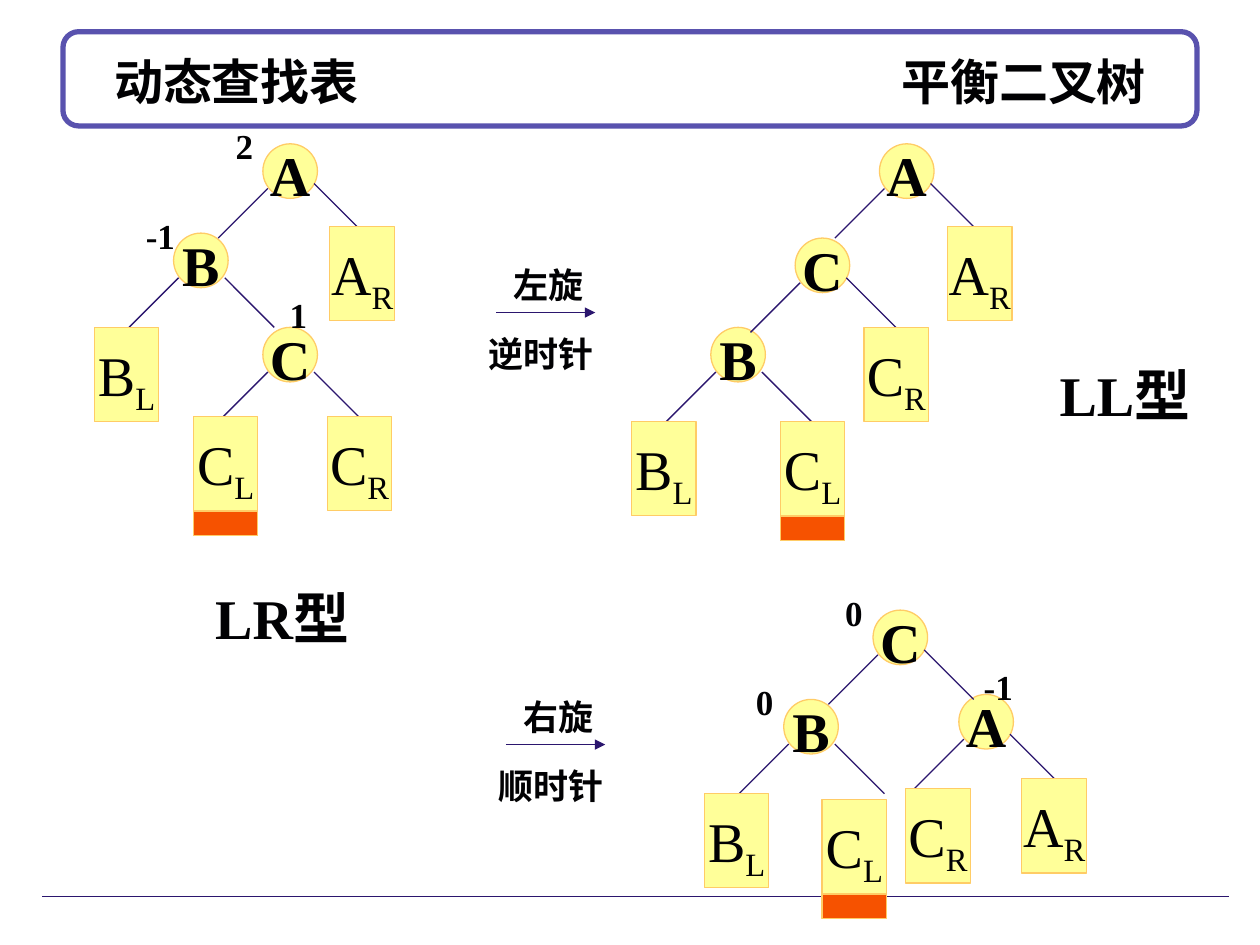
from lxml import etree
from pptx import Presentation
from pptx import util as u
from pptx.dml.color import RGBColor
from pptx.enum import shapes, text
from pptx.oxml import ns

COLORS = {
    "ink": "010103", "frame": "5952AE", "edge": "2B166E", "node": "FFFF99",
    "outline": "FFCC66", "added": "F65200", "paper": "FFFFFF",
}
SHAPE = shapes.MSO_SHAPE
ALIGN = text.PP_ALIGN
ANCHOR = text.MSO_ANCHOR
NODE = 1.1
BOX_W, BOX_H, STRIP_H = 1.3, 1.9, 0.5

prs = Presentation()
prs.slide_width, prs.slide_height = u.Cm(25.4), u.Cm(19.05)
s = prs.slides.add_slide(prs.slide_layouts[5])


def put(label, x, y, w, h, geom=None, fill="node", line="outline", weight=0.75,
        size=32, font="Times New Roman", bold=True, sub=""):
    at = [u.Cm(v) for v in (x, y, w, h)]
    if geom is None:
        sp = s.shapes.add_textbox(*at)
    else:
        sp = s.shapes.add_shape(geom, *at)
        sp.shadow.inherit = False
        sp.fill.solid()
        sp.fill.fore_color.rgb = RGBColor.from_string(COLORS[fill])
        sp.line.color.rgb = RGBColor.from_string(COLORS[line])
        sp.line.width = u.Pt(weight)
    if label:
        tf = sp.text_frame
        tf.word_wrap = geom is None
        tf.vertical_anchor = ANCHOR.MIDDLE if geom else ANCHOR.TOP
        p = tf.paragraphs[0]
        p.alignment = ALIGN.CENTER if geom else ALIGN.LEFT
        p.line_spacing = 1.1
        for part in filter(None, (label, sub)):
            r = p.add_run()
            r.text = part
            r.font.size, r.font.name, r.font.bold = u.Pt(size), font, bold
            r.font.color.rgb = RGBColor.from_string(COLORS["ink"])
        if sub:
            r.font._element.set("baseline", "-25000")
    return sp


def connect(x1, y1, x2, y2, arrow=False):
    c = s.shapes.add_connector(shapes.MSO_CONNECTOR.STRAIGHT, *[u.Cm(v) for v in (x1, y1, x2, y2)])
    c.line.color.rgb = RGBColor.from_string(COLORS["edge"])
    c.line.width = u.Pt(0.75)
    if arrow:
        etree.SubElement(c.line._get_or_add_ln(), ns.qn("a:tailEnd"), type="triangle")
    etree.SubElement(c._element.spPr, ns.qn("a:effectLst"))


put("", 1.27, 0.64, 22.86, 1.9, geom=SHAPE.ROUNDED_RECTANGLE, fill="paper", line="frame", weight=3)
connect(0.85, 18.08, 24.77, 18.08)

title = s.shapes.title
s.shapes._spTree.append(title._element)
title.left, title.top, title.width, title.height = u.Cm(1.27), u.Cm(0.84), u.Cm(22.86), u.Cm(1.57)
tf = title.text_frame
tf.auto_size = text.MSO_AUTO_SIZE.NONE
tf.vertical_anchor = ANCHOR.MIDDLE
tf.margin_left, tf.margin_right, tf.margin_top, tf.margin_bottom = u.Cm(1.03), 0, 0, 0
p = tf.paragraphs[0]
p.alignment = ALIGN.LEFT
tabs = etree.SubElement(p._p.get_or_add_pPr(), ns.qn("a:tabLst"))
etree.SubElement(tabs, ns.qn("a:tab"), pos=str(u.Cm(20.8)), algn="r")
r = p.add_run()
r.text = "动态查找表\t平衡二叉树"
r.font.size, r.font.name, r.font.bold = u.Pt(28), "Times New Roman", True
r.font.color.rgb = RGBColor.from_string(COLORS["ink"])

trees = [
    {"nodes": [("A", 5.3, 2.9, 0.8), ("B", 3.5, 4.7, 0.9), ("C", 5.3, 6.6, 0.9)],
     "factors": [("2", 4.5, 2.31), ("-1", 2.69, 4.11), ("1", 5.59, 5.71)],
     "subtrees": [("BL", 1.9, 6.6), ("CL", 3.9, 8.4), ("CR", 6.6, 8.4), ("AR", 6.65, 4.57)]},
    {"nodes": [("C", 17.6, 12.3, 0.8), ("B", 15.8, 14.1, 0.9), ("A", 19.33, 14, 0.8)],
     "factors": [("0", 16.79, 11.71), ("0", 14.99, 13.51), ("-1", 19.58, 13.21)],
     "subtrees": [("BL", 14.2, 16), ("CL", 16.57, 16.12), ("CR", 18.26, 15.9), ("AR", 20.6, 15.7)]},
    {"nodes": [("A", 17.73, 2.9, 0.8), ("C", 16.03, 4.8, 0.8), ("B", 14.33, 6.6, 0.9)],
     "factors": [],
     "subtrees": [("BL", 12.73, 8.5), ("CL", 15.73, 8.5), ("CR", 17.42, 6.6), ("AR", 19.1, 4.57)]},
]
for tree in trees:
    for name, x, y, drop in tree["nodes"]:
        put(name, x, y, NODE, NODE, geom=SHAPE.OVAL)
    for name, x, y, drop in tree["nodes"]:
        connect(x + 0.1, y + 0.9, x - 0.9, y + 1.9)
        connect(x + 1.03, y + drop, x + 2.03, y + drop + 1)
    for factor, x, y in tree["factors"]:
        put(factor, x, y, 1.3, 1.2, size=20)
    for (parent, side), x, y in tree["subtrees"]:
        put(parent, x, y, BOX_W, BOX_H, geom=SHAPE.RECTANGLE, bold=False, sub=side)
        if parent + side == "CL":
            put("", x, y + BOX_H, BOX_W, STRIP_H, geom=SHAPE.RECTANGLE, fill="added")

for turn, direction, x, y in [("左旋", "逆时针", 10, 6.3), ("右旋", "顺时针", 10.2, 15.01)]:
    connect(x, y, x + 2, y, arrow=True)
    put(turn, x + 0.1, y - 1.2, 2, 1.2, size=20, font="Lato")
    put(direction, x - 0.4, y + 0.2, 3, 1.2, size=20, font="Lato")

put("LR型", 4.09, 11.51, 3.76, 1.75)
put("LL型", 21.11, 7.01, 3.48, 1.75)

prs.save("out.pptx")
